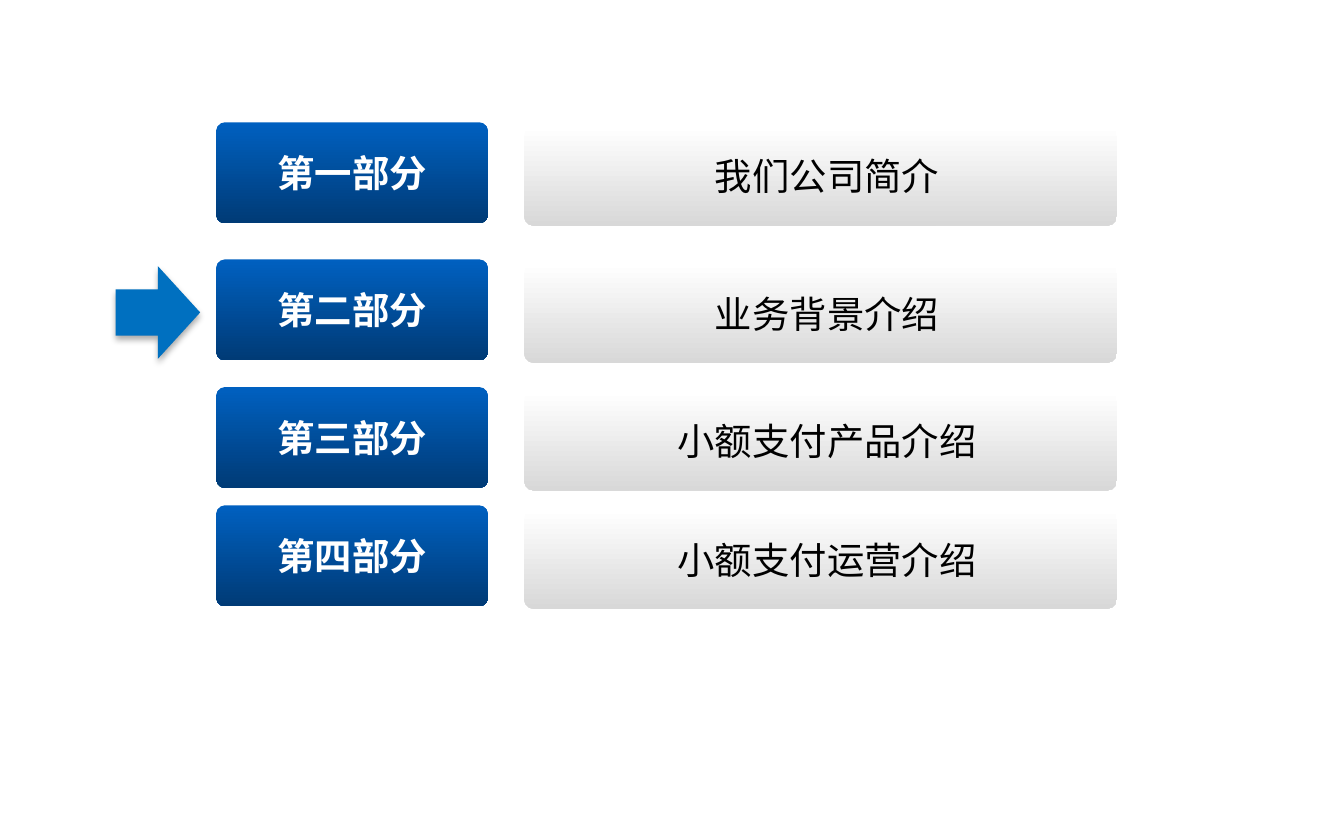
from lxml import etree
from pptx import Presentation
from pptx.dml.color import RGBColor
from pptx.enum.shapes import MSO_SHAPE
from pptx.enum.text import MSO_ANCHOR, PP_ALIGN
from pptx.oxml import parse_xml
from pptx.oxml.ns import nsdecls, qn
from pptx.util import Inches, Pt

FONT = "Noto Sans CJK SC"
WHITE = RGBColor(0xFF, 0xFF, 0xFF)
BLACK = RGBColor(0x00, 0x00, 0x00)
BLUE_TOP = RGBColor(0x00, 0x60, 0xC0)
BLUE_BOTTOM = RGBColor(0x00, 0x3B, 0x76)
GRAY_BOTTOM = RGBColor(0xD8, 0xD8, 0xD8)
ARROW_BLUE = RGBColor(0x00, 0x70, 0xC0)

# Top of each row, part label, section title
AGENDA = [
    (0.91, "第一部分", "我们公司简介"),
    (1.93, "第二部分", "业务背景介绍"),
    (2.88, "第三部分", "小额支付产品介绍"),
    (3.76, "第四部分", "小额支付运营介绍"),
]
LABEL_STYLE = {
    "size": (2.02, 0.75), "corner": 0.084, "colors": (BLUE_TOP, BLUE_BOTTOM),
    "indent": 0, "font": {"size": Pt(20), "bold": True, "name": FONT},
    "text_color": WHITE,
}
TITLE_STYLE = {
    "size": (4.41, 0.74), "corner": 0.099, "colors": (WHITE, GRAY_BOTTOM),
    "indent": 0.1, "font": {"size": Pt(20), "bold": False, "name": FONT},
    "text_color": BLACK,
}


def add_plain_shape(slide, preset, left, top, width, height):
    shape = slide.shapes.add_shape(
        preset, Inches(left), Inches(top), Inches(width), Inches(height))
    shape.shadow.inherit = False
    shape.line.fill.background()
    return shape


def write_text(shape, text, style):
    frame = shape.text_frame
    frame.word_wrap = False
    frame.vertical_anchor = MSO_ANCHOR.MIDDLE
    paragraph = frame.paragraphs[0]
    paragraph.alignment = PP_ALIGN.CENTER
    paragraph._p.get_or_add_pPr().set("marL", str(Inches(style["indent"])))
    run = paragraph.add_run()
    run.text = text
    for name, value in style["font"].items():
        setattr(run.font, name, value)
    run.font.color.rgb = style["text_color"]
    # Chinese characters take the East Asian typeface
    east_asian = etree.SubElement(run._r.get_or_add_rPr(), qn("a:ea"))
    east_asian.set("typeface", FONT)


def add_box(slide, left, top, text, style):
    shape = add_plain_shape(
        slide, MSO_SHAPE.ROUNDED_RECTANGLE, left, top, *style["size"])
    shape.adjustments[0] = style["corner"]
    shape.fill.gradient()
    shape.fill.gradient_angle = 270  # top to bottom
    for stop, color in zip(shape.fill.gradient_stops, style["colors"]):
        stop.color.rgb = color
    write_text(shape, text, style)


def add_current_marker(slide, left, top, width, height):
    arrow = add_plain_shape(
        slide, MSO_SHAPE.RIGHT_ARROW, left, top, width, height)
    arrow.fill.solid()
    arrow.fill.fore_color.rgb = ARROW_BLUE
    effects = arrow._element.spPr.find(qn("a:effectLst"))
    effects.append(parse_xml(
        f'<a:outerShdw {nsdecls("a")} blurRad="{Pt(3.5)}" dist="{Pt(2.2)}" '
        'dir="5400000" rotWithShape="0"><a:srgbClr val="000000">'
        '<a:alpha val="32000"/></a:srgbClr></a:outerShdw>'))


def main():
    presentation = Presentation()
    presentation.slide_width = Inches(10)
    presentation.slide_height = Inches(6.25)
    slide = presentation.slides.add_slide(presentation.slide_layouts[6])

    # Agenda rows: blue part label and gray section title
    for top, label, title in AGENDA:
        add_box(slide, 1.61, top, label, LABEL_STYLE)
        add_box(slide, 3.9, top + 0.03, title, TITLE_STYLE)

    # Arrow at the current part
    add_current_marker(slide, 0.86, 1.98, 0.63, 0.69)
    presentation.save("out.pptx")


if __name__ == "__main__":
    main()
